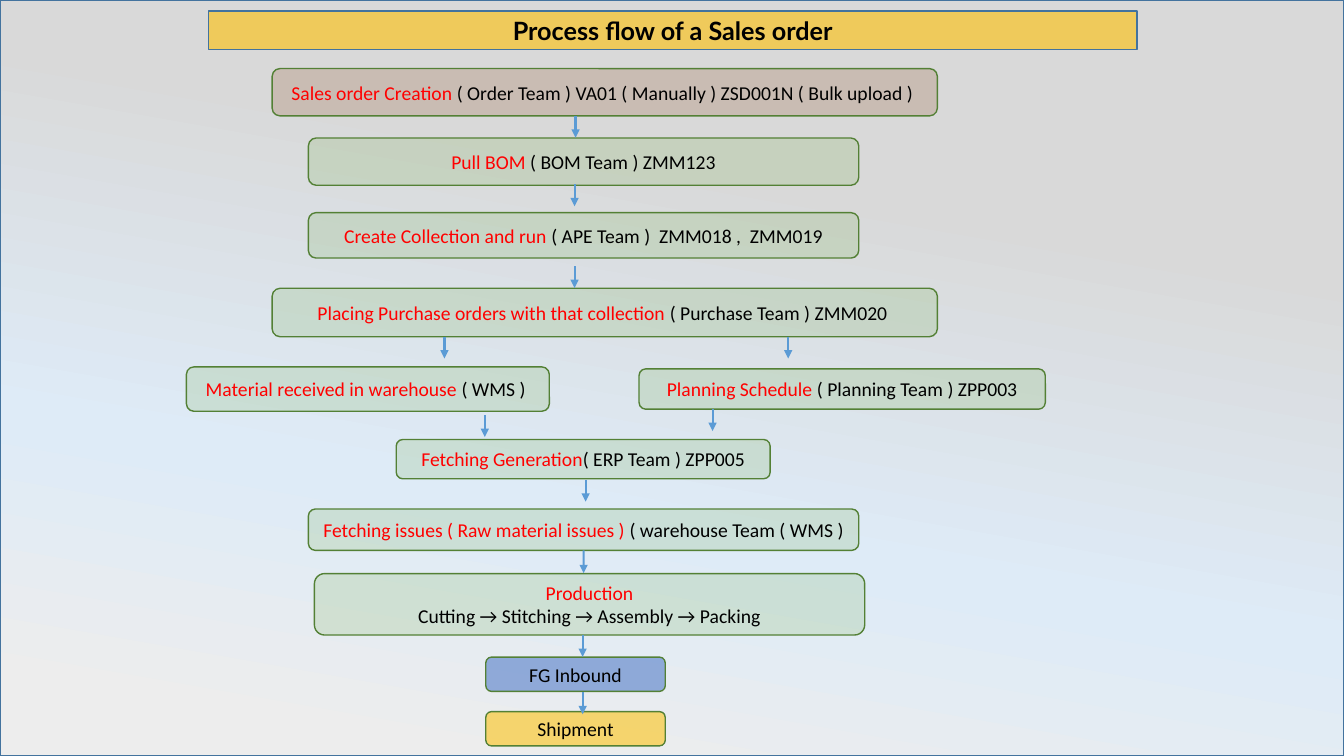
from copy import deepcopy
from dataclasses import dataclass

from pptx import Presentation
from pptx.dml.color import RGBColor
from pptx.enum.shapes import MSO_CONNECTOR, MSO_SHAPE
from pptx.enum.text import MSO_ANCHOR, PP_ALIGN
from pptx.oxml.ns import qn
from pptx.oxml.xmlchemy import OxmlElement
from pptx.shapes.autoshape import Shape
from pptx.shapes.connector import Connector
from pptx.slide import Slide
from pptx.util import Pt

PAGE_WIDTH, PAGE_HEIGHT = 960, 540
ARROW_LENGTH = 15.6
RED, BLACK = "FF0000", "000000"
BLUE_LINE, GREEN_LINE, ARROW_BLUE = "43739E", "538035", "5B9BD5"
BACKDROP_STOPS = [(0.28, "D9D9D9"), (0.65, "DEEBF7"), (0.93, "EDEDED")]


@dataclass
class Step:
    left: float
    top: float
    width: float
    height: float
    action: str
    detail: str
    fill: str = "70AD47"
    opacity: int = 18
    stacked: bool = False


@dataclass
class Arrow:
    x: float
    top: float
    source: int | None = None  # index of the step it leaves at mid-bottom


STEPS = [
    Step(194.4, 49, 475.2, 33.8, "Sales order Creation ",
         "( Order Team ) VA01 ( Manually ) ZSD001N ( Bulk upload ) ", fill="843C0B"),
    Step(220.3, 98.6, 393.1, 33.8, "Pull BOM ", "( BOM Team ) ZMM123"),
    Step(220.3, 151.9, 393.1, 32.4, "Create Collection and run ",
         "( APE Team )  ZMM018 ,  ZMM019"),
    Step(194.4, 205.9, 475.2, 34.6, "Placing Purchase orders with that collection ",
         "( Purchase Team ) ZMM020 "),
    Step(133.2, 262.1, 259.2, 31.7, "Material received in warehouse ", "( WMS ) "),
    Step(456.5, 263.5, 290.2, 28.8, "Planning Schedule ", "( Planning Team ) ZPP003"),
    Step(283, 313.9, 267.1, 28.1, "Fetching Generation", "( ERP Team ) ZPP005"),
    Step(220.3, 363.6, 393.1, 29.5, "Fetching issues ( Raw material issues ) ",
         "( warehouse Team ( WMS )"),
    Step(224.6, 409.7, 393.1, 43.9, "Production",
         "Cutting → Stitching → Assembly → Packing", stacked=True),
    Step(347, 469.4, 128.2, 24.5, "", "FG Inbound", fill="4472C4", opacity=54),
    Step(347, 508.3, 128.2, 24.5, "", "Shipment", fill="FFC000", opacity=54),
]

ARROWS = [
    Arrow(411.1, 82.8), Arrow(410.4, 131.8), Arrow(410.4, 190.1),
    Arrow(563, 240.5), Arrow(317.5, 240.5),
    Arrow(509, 292.3), Arrow(346.3, 296.6),
    Arrow(418.3, 342.7), Arrow(416.9, 393.8, source=7),
    Arrow(416.2, 453.6), Arrow(416.2, 494.6),
]


def color(value: str) -> RGBColor:
    return RGBColor.from_string(value)


def add_box(page: Slide, kind: MSO_SHAPE, left: float, top: float,
            width: float, height: float, line: str) -> Shape:
    box = page.shapes.add_shape(kind, Pt(left), Pt(top), Pt(width), Pt(height))
    box.shadow.inherit = False
    box.line.color.rgb = color(line)
    box.line.width = Pt(1)
    frame = box.text_frame
    frame.word_wrap = True
    frame.vertical_anchor = MSO_ANCHOR.MIDDLE
    return box


def fill_translucent(box: Shape, value: str, opacity: int) -> None:
    box.fill.solid()
    box.fill.fore_color.rgb = color(value)
    alpha = OxmlElement("a:alpha")
    alpha.set("val", str(opacity * 1000))
    box.fill._xPr.find(qn("a:solidFill"))[0].append(alpha)


def add_backdrop(page: Slide) -> None:
    backdrop = add_box(page, MSO_SHAPE.RECTANGLE, 0, 0, PAGE_WIDTH, PAGE_HEIGHT, BLUE_LINE)
    backdrop.fill.gradient()
    backdrop.fill.gradient_angle = 260
    stop_list = next(backdrop._element.spPr.iter(qn("a:gsLst")))
    stop_list.append(deepcopy(stop_list[-1]))
    for stop, (position, value) in zip(backdrop.fill.gradient_stops, BACKDROP_STOPS):
        stop.position = position
        stop.color.rgb = color(value)


def add_title(page: Slide) -> None:
    box = add_box(page, MSO_SHAPE.RECTANGLE, 149, 7.9, 663.1, 27.4, BLUE_LINE)
    fill_translucent(box, "FFC000", 58)
    box.text_frame.text = "Process flow of a Sales order"
    para = box.text_frame.paragraphs[0]
    para.alignment = PP_ALIGN.CENTER
    font = para.runs[0].font
    font.name, font.size, font.bold = "Lato", Pt(18), True
    font.color.rgb = color(BLACK)


def add_step(page: Slide, step: Step) -> Shape:
    box = add_box(page, MSO_SHAPE.ROUNDED_RECTANGLE, step.left, step.top,
                  step.width, step.height, GREEN_LINE)
    fill_translucent(box, step.fill, step.opacity)
    frame = box.text_frame
    first = frame.paragraphs[0]
    last = frame.add_paragraph() if step.stacked else first
    for para, text, value in ((first, step.action, RED), (last, step.detail, BLACK)):
        para.alignment = PP_ALIGN.CENTER
        if text:
            span = para.add_run()
            span.text = text
            span.font.name, span.font.size = "Calibri", Pt(14)
            span.font.color.rgb = color(value)
    return box


def add_arrow(page: Slide, arrow: Arrow, boxes: list[Shape]) -> Connector:
    x = Pt(arrow.x)
    connector = page.shapes.add_connector(
        MSO_CONNECTOR.STRAIGHT, x, Pt(arrow.top), x, Pt(arrow.top + ARROW_LENGTH))
    if arrow.source is not None:
        connector.begin_connect(boxes[arrow.source], 2)
    connector.line.color.rgb = color(ARROW_BLUE)
    connector.line.width = Pt(1.5)
    head = OxmlElement("a:tailEnd")
    head.set("type", "triangle")
    connector.line._get_or_add_ln().append(head)
    connector._element.spPr.append(OxmlElement("a:effectLst"))
    return connector


def main() -> None:
    deck = Presentation()
    deck.slide_width, deck.slide_height = Pt(PAGE_WIDTH), Pt(PAGE_HEIGHT)
    page = deck.slides.add_slide(deck.slide_layouts[6])
    add_backdrop(page)
    boxes = [add_step(page, step) for step in STEPS]
    add_title(page)
    for arrow in ARROWS:
        add_arrow(page, arrow, boxes)
    deck.save("out.pptx")


if __name__ == "__main__":
    main()
